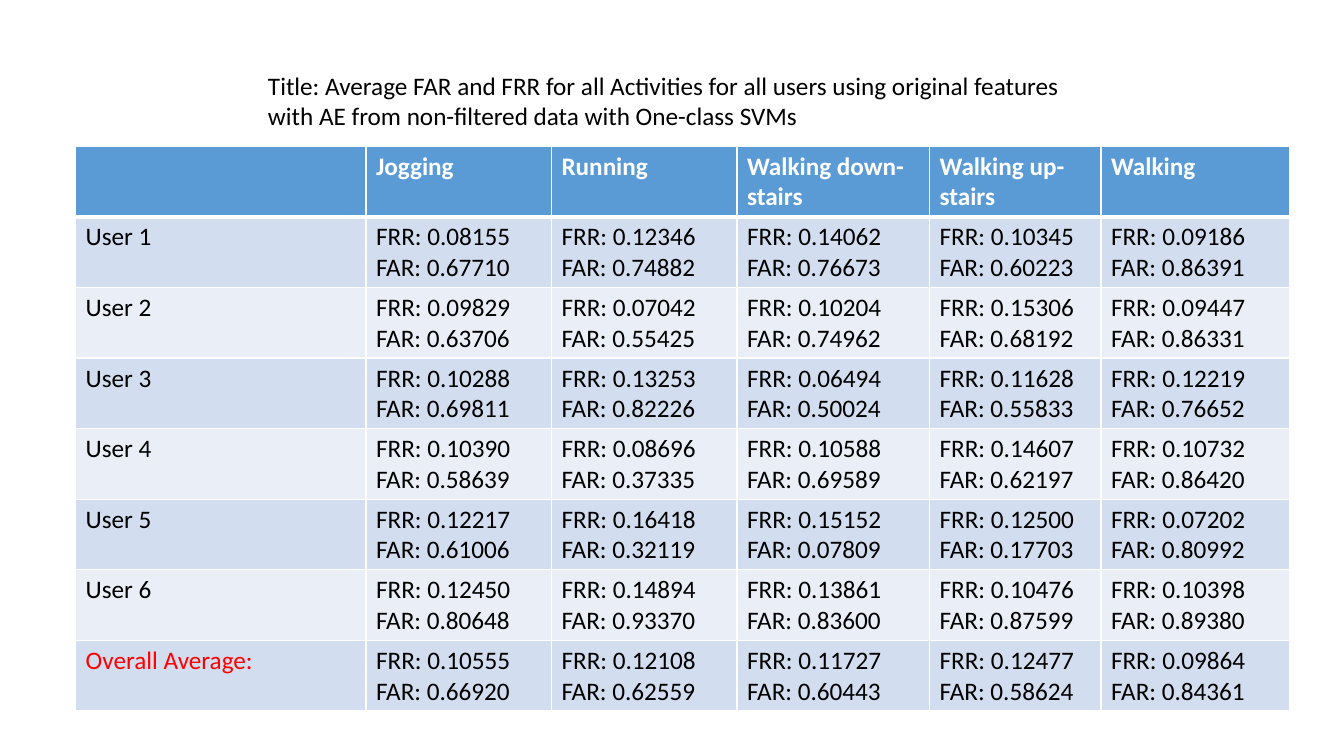
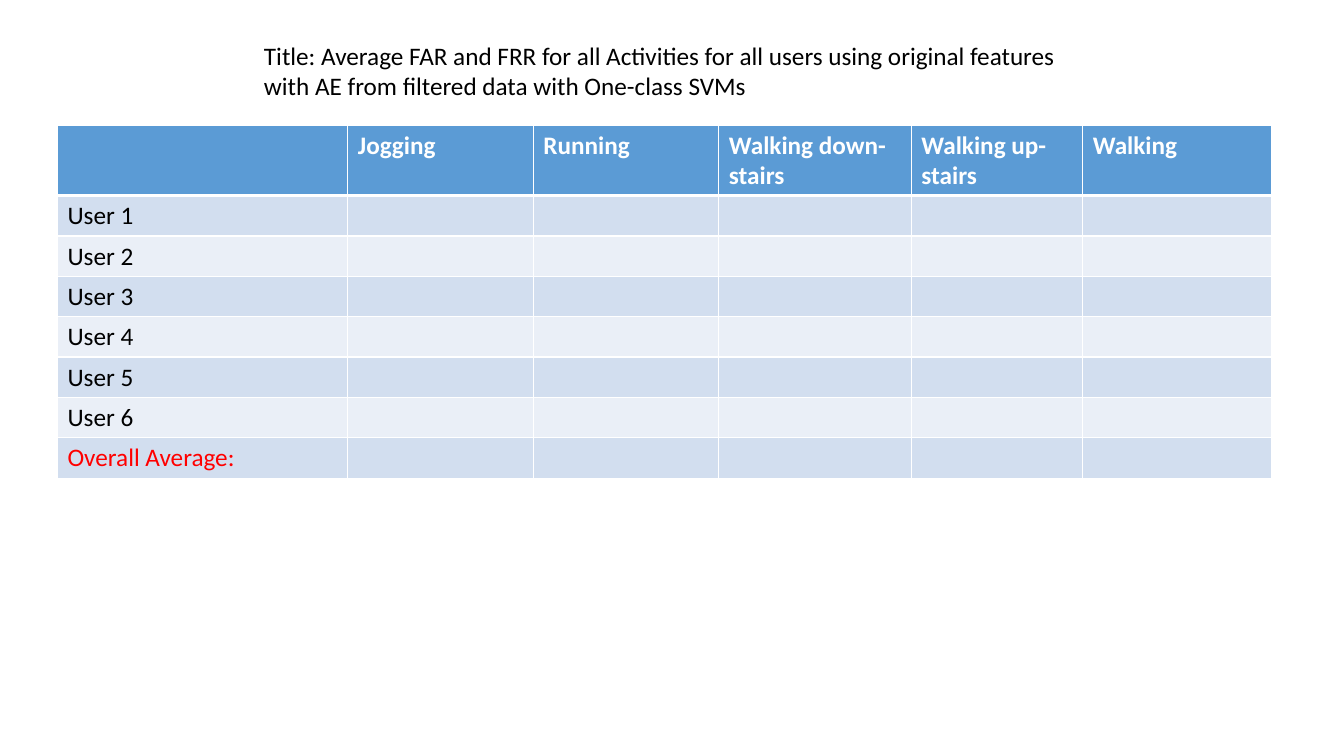
from pptx import Presentation
from pptx.dml.color import RGBColor
from pptx.enum.text import MSO_AUTO_SIZE as AutoSize
from pptx.oxml import parse_xml
from pptx.oxml.ns import nsdecls
from pptx.util import Inches, Pt

COLORS = {
    "header": "5B9BD5",
    "band_dark": "D2DEEF",
    "band_light": "EAEFF7",
    "white": "FFFFFF",
    "black": "000000",
    "red": "FF0000",
}
FONT = "Calibri"
COLUMN_WIDTHS = [2.88, 1.84, 1.84, 1.91, 1.7, 1.87]
HEADERS = ["", "Jogging", "Running", "Walking down-stairs", "Walking up-stairs", "Walking"]
ROW_LABELS = [f"User {number}" for number in range(1, 7)] + ["Overall Average:"]
TITLE = ("Title: Average FAR and FRR for all Activities for all users using "
         "original features with AE from {} data with One-class SVMs")

# (FRR, FAR) for each activity, one line per row label
RATES = [
    [(0.08155, 0.67710), (0.12346, 0.74882), (0.14062, 0.76673), (0.10345, 0.60223), (0.09186, 0.86391)],
    [(0.09829, 0.63706), (0.07042, 0.55425), (0.10204, 0.74962), (0.15306, 0.68192), (0.09447, 0.86331)],
    [(0.10288, 0.69811), (0.13253, 0.82226), (0.06494, 0.50024), (0.11628, 0.55833), (0.12219, 0.76652)],
    [(0.10390, 0.58639), (0.08696, 0.37335), (0.10588, 0.69589), (0.14607, 0.62197), (0.10732, 0.86420)],
    [(0.12217, 0.61006), (0.16418, 0.32119), (0.15152, 0.07809), (0.12500, 0.17703), (0.07202, 0.80992)],
    [(0.12450, 0.80648), (0.14894, 0.93370), (0.13861, 0.83600), (0.10476, 0.87599), (0.10398, 0.89380)],
    [(0.10555, 0.66920), (0.12108, 0.62559), (0.11727, 0.60443), (0.12477, 0.58624), (0.09864, 0.84361)],
]
FILTERED_ROWS = [[""] * 5 for _ in ROW_LABELS]
NON_FILTERED_ROWS = [[f"FRR: {frr:.5f}\nFAR: {far:.5f}" for frr, far in row] for row in RATES]

# Data kind, title position, table position, body row height, body rows
SLIDES = [
    ("non-filtered", (2.56, 0.65), (0.75, 1.45), 0.7, NON_FILTERED_ROWS),
    ("filtered", (2.52, 0.35), (0.57, 1.24), 0.4, FILTERED_ROWS),
]


def write_text(frame, text, color, bold=False):
    frame.text = text
    for para in frame.paragraphs:
        para.font.name = FONT
        para.font.size = Pt(18)
        para.font.bold = bold
        para.font.color.rgb = RGBColor.from_string(COLORS[color])


def style_cell(cell, fill, top_width, bottom_width):
    # Borders come before the fill in the cell properties
    properties = cell._tc.get_or_add_tcPr()
    for side, width in (("L", 1), ("R", 1), ("T", top_width), ("B", bottom_width)):
        properties.append(parse_xml(
            f'<a:ln{side} {nsdecls("a")} w="{Pt(width)}"><a:solidFill>'
            f'<a:srgbClr val="{COLORS["white"]}"/></a:solidFill></a:ln{side}>'))
    cell.fill.solid()
    cell.fill.fore_color.rgb = RGBColor.from_string(COLORS[fill])


deck = Presentation()
deck.slide_width, deck.slide_height = Inches(13.33), Inches(7.5)

for data_kind, (title_left, title_top), (left, top), row_height, body in SLIDES:
    page = deck.slides.add_slide(deck.slide_layouts[6])

    # Title
    box = page.shapes.add_textbox(Inches(title_left), Inches(title_top), Inches(8.13), Inches(0.71))
    box.text_frame.word_wrap = True
    box.text_frame.auto_size = AutoSize.SHAPE_TO_FIT_TEXT
    write_text(box.text_frame, TITLE.format(data_kind), "black")

    # Table grid
    rows = [HEADERS] + [[label, *values] for label, values in zip(ROW_LABELS, body)]
    heights = [0.7] + [row_height] * len(body)
    table = page.shapes.add_table(
        len(rows), len(HEADERS), Inches(left), Inches(top),
        Inches(sum(COLUMN_WIDTHS)), Inches(sum(heights))).table
    for column, width in zip(table.columns, COLUMN_WIDTHS):
        column.width = Inches(width)
    for row, height in zip(table.rows, heights):
        row.height = Inches(height)

    # Cells: header, then alternating bands
    for row_index, texts in enumerate(rows):
        is_header = row_index == 0
        fill = "header" if is_header else "band_dark" if row_index % 2 else "band_light"
        for column_index, text in enumerate(texts):
            cell = table.cell(row_index, column_index)
            style_cell(cell, fill, 3 if row_index == 1 else 1, 3 if is_header else 1)
            is_average_label = text == ROW_LABELS[-1]
            color = "white" if is_header else "red" if is_average_label else "black"
            write_text(cell.text_frame, text, color, bold=is_header)

deck.save("out.pptx")
